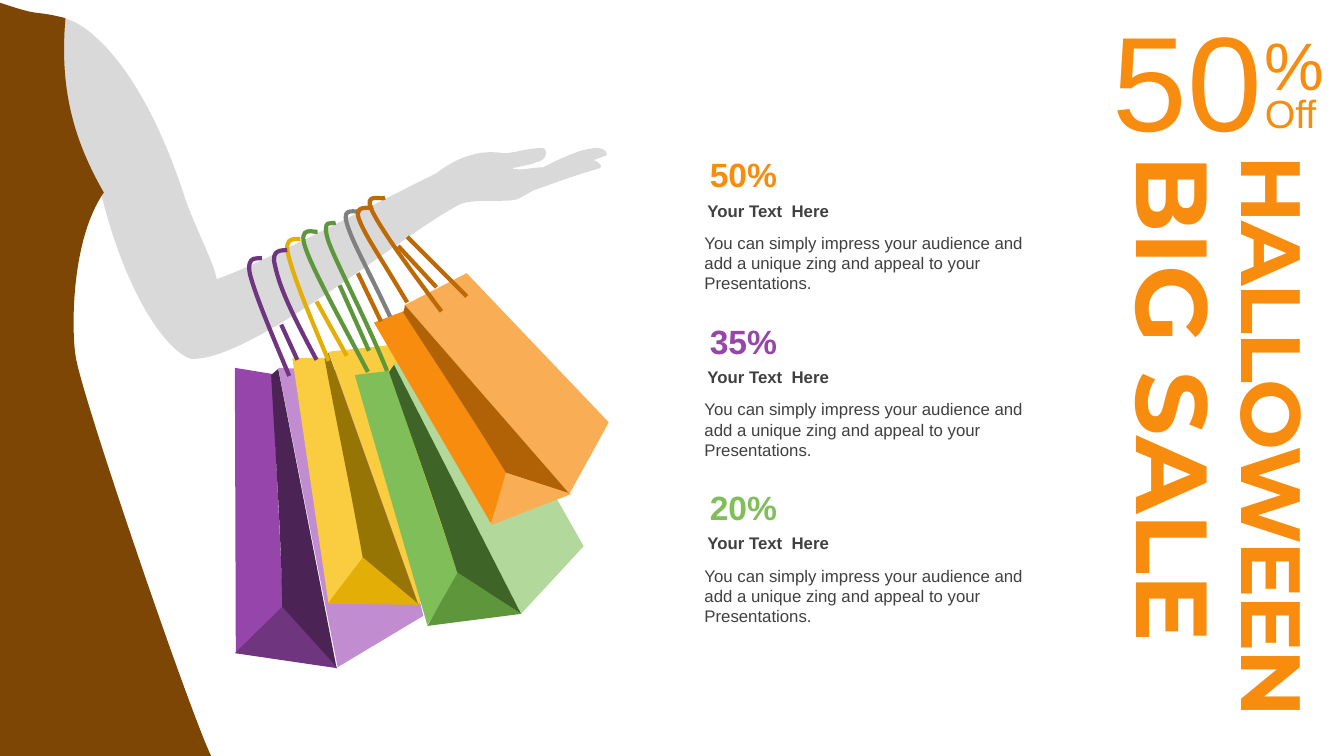
import dataclasses
import math
import typing

import lxml.etree
import pptx
import pptx.dml.color
import pptx.enum.shapes
import pptx.enum.text
import pptx.oxml.ns
import pptx.util

SCALE = 9144
CURVE_STEPS = 40
HIGH = 750
WIDE = HIGH * 16 / 9
ALIGN = pptx.enum.text.PP_ALIGN
Point = tuple[float, float]


@dataclasses.dataclass(frozen=True)
class Theme:
    skin: str = "D9D9D9"
    dress: str = "7E4604"
    ink: str = "404040"
    gray: str = "808080"
    rust: str = "BD6906"
    orange: str = "F78C0E"
    peach: str = "F9AE56"
    umber: str = "B16206"
    purple: str = "9646AA"
    lilac: str = "C28CD0"
    plum: str = "4B2355"
    grape: str = "70357F"
    yellow: str = "F9CD3F"
    olive: str = "977505"
    gold: str = "E3AF07"
    green: str = "80BE5A"
    mint: str = "B3D89C"
    forest: str = "3F6428"
    leaf: str = "5E973B"
    sans: str = "Arial"
    display: str = "Montserrat"
    giant: int = 96
    banner: int = 72
    title: int = 60
    sign: int = 48
    off: int = 28
    rate: int = 24
    body: int = 12
    stroke: int = 3


THEME = Theme()


class Form(typing.NamedTuple):
    hue: str
    start: tuple[int, int]
    steps: list[tuple[int, ...]]
    turn: float = 0


class Strap(typing.NamedTuple):
    hue: str
    ends: tuple[int, int, int, int]


class Label(typing.NamedTuple):
    text: str
    place: tuple[int, int, int, int]
    size: int
    hue: str
    bold: bool = False
    face: str = THEME.sans
    align: ALIGN = ALIGN.LEFT
    middle: bool = True
    turn: int = 0
    track: int = 0


ARM = Form(THEME.skin, (539, 147), [
    (545, 150, 541, 160, 532, 161), (526, 164, 516, 165, 508, 167),
    (515, 170, 528, 166, 539, 166), (552, 159, 562, 155, 575, 150),
    (589, 146, 602, 145, 602, 154), (589, 159), (594, 160, 599, 166, 595, 167),
    (570, 174, 552, 181, 529, 189), (525, 191, 516, 197, 512, 198),
    (500, 201, 476, 197, 458, 202), (404, 228, 249, 360, 189, 356),
    (166, 348, 126, 296, 100, 191), (79, 161, 38, 98, 61, 18),
    (83, 19, 141, 63, 184, 198), (196, 231, 212, 260, 215, 277),
    (264, 260, 385, 195, 433, 172), (462, 149, 487, 150, 499, 152),
    (507, 153, 526, 146, 539, 147)])
DRESS = Form(THEME.dress, (65, 18), [
    (59, 86, 72, 137, 103, 191), (70, 239, 71, 328, 75, 353),
    (80, 391, 194, 723, 211, 753), (159, 757, 69, 754, -1, 753),
    (-1, 573, -3, 182, -2, 2), (45, 18, 29, 9, 65, 18)])
PANELS = [
    Form(THEME.lilac, (361, 368), [(276, 365), (335, 662), (420, 611)], 30),
    Form(THEME.purple, (270, 371), [(233, 365), (234, 648), (281, 603)], 30),
    Form(THEME.plum, (334, 663), [(280, 603), (279, 529, 273, 446, 269, 372), (276, 366)], 30),
    Form(THEME.grape, (335, 663), [(233, 648), (280, 602)], 30),
    Form(THEME.yellow, (400, 341), [(326, 349), (415, 599), (482, 545)], 21.7),
    Form(THEME.yellow, (322, 355), [(290, 355), (326, 599), (361, 555)], 21.7),
    Form(THEME.olive, (415, 600), [(360, 554), (349, 491, 334, 420, 322, 356), (326, 350)], 21.7),
    Form(THEME.gold, (416, 600), [(325, 599), (360, 553)], 21.7),
    Form(THEME.mint, (466, 342), [(390, 361), (517, 609), (579, 542)], 14.1),
    Form(THEME.green, (386, 368), [(352, 372), (424, 620), (455, 571)], 14.1),
    Form(THEME.forest, (517, 609), [(454, 569), (434, 505, 408, 433, 386, 369), (391, 362)], 14.1),
    Form(THEME.leaf, (517, 609), [(424, 621), (454, 568)], 14.1),
    Form(THEME.peach, (463, 271), [(401, 303), (565, 490), (604, 419)]),
    Form(THEME.orange, (400, 309), [(371, 320), (487, 519), (504, 470)]),
    Form(THEME.umber, (565, 490), [(502, 469), (471, 418, 433, 361, 400, 310), (402, 303)]),
    Form(THEME.peach, (567, 490), [(487, 521), (502, 469)]),
]
HOOKS = [
    Form(THEME.rust, (438, 309), [(399, 257, 378, 227, 369, 209), (360, 190, 379, 199, 382, 196)]),
    Form(THEME.gray, (387, 314), [(362, 261, 349, 239, 344, 221), (339, 204, 354, 212, 357, 209)]),
    Form(THEME.leaf, (384, 368), [(362, 314, 335, 264, 326, 240), (318, 215, 330, 223, 333, 221)], 7.1),
    Form(THEME.grape, (287, 373), [(263, 316, 253, 291, 248, 272), (244, 252, 257, 257, 260, 256)], 25.8),
    Form(THEME.gold, (326, 358), [(302, 301, 291, 273, 286, 253), (281, 233, 295, 238, 298, 237)], 25.8),
    Form(THEME.leaf, (365, 369), [(335, 312, 311, 269, 303, 246), (295, 223, 312, 231, 315, 230)], 25.8),
    Form(THEME.grape, (314, 357), [(284, 301, 277, 282, 273, 264), (268, 246, 281, 249, 285, 248)], 25.8),
    Form(THEME.rust, (404, 300), [(373, 248, 362, 233, 356, 217), (351, 202, 367, 208, 370, 205)]),
]
STRAPS = [
    Strap(THEME.rust, (404, 235, 463, 294)),
    Strap(THEME.rust, (395, 244, 433, 285)),
    Strap(THEME.leaf, (337, 283, 366, 348)),
    Strap(THEME.grape, (279, 322, 295, 357)),
    Strap(THEME.gold, (314, 299, 344, 353)),
    Strap(THEME.rust, (355, 271, 378, 319)),
]
TITLE = Label("HALLOWEEN", (970, 384, 590, 111), THEME.title, THEME.orange, True,
              THEME.display, ALIGN.JUSTIFY, turn=90, track=-150)
BANNER = Label("BIG SALE", (872, 374, 590, 131), THEME.banner, THEME.orange, True,
               THEME.display, ALIGN.JUSTIFY, turn=90)
BADGE = [
    Label("50", (1087, -9, 182, 172), THEME.giant, THEME.orange, align=ALIGN.CENTER),
    Label("%", (1245, 18, 75, 91), THEME.sign, THEME.orange),
    Label("Off", (1245, 83, 75, 57), THEME.off, THEME.orange),
]
OFFERS = [("50%", THEME.orange), ("35%", THEME.purple), ("20%", THEME.green)]
OFFER_TOP, OFFER_PITCH = 148, 165
HEADING = "Your Text  Here"
DETAIL = "You can simply impress your audience and add a unique zing and appeal to your Presentations."


def emu(px: float) -> pptx.util.Emu:
    return pptx.util.Emu(round(px * SCALE))


def tint(hue: str) -> pptx.dml.color.RGBColor:
    return pptx.dml.color.RGBColor.from_string(hue)


def spin(dot: Point, angle: float) -> Point:
    c, s = math.cos(math.radians(angle)), math.sin(math.radians(angle))
    return dot[0] * c - dot[1] * s, dot[0] * s + dot[1] * c


def bend(dots: list[Point], t: float) -> Point:
    while len(dots) > 1:
        dots = [(a + (c - a) * t, b + (d - b) * t) for (a, b), (c, d) in zip(dots, dots[1:])]
    return dots[0]


def draw_form(shapes: typing.Any, form: Form, solid: bool = True) -> None:
    legs = [[spin(dot, -form.turn) for dot in zip(leg[::2], leg[1::2])]
            for leg in [form.start, *form.steps]]
    edge = [bend([a[-1], *b], i / CURVE_STEPS)
            for a, b in zip(legs, legs[1:]) for i in range(CURVE_STEPS + 1)]
    (left, right), (top, base) = ((min(side), max(side)) for side in zip(*edge))
    mid = (left + right) / 2, (top + base) / 2
    hub = spin(mid, form.turn)
    x, y = left + hub[0] - mid[0], top + hub[1] - mid[1]
    wide, high = right - left, base - top
    maker = shapes.build_freeform(emu(x), emu(y), scale=1.0)
    maker.add_line_segments([(emu(x + wide), emu(y)), (emu(x + wide), emu(y + high))], close=solid)
    shape = maker.convert_to_shape()
    qn = pptx.oxml.ns.qn
    route = shape._element.find(".//" + qn("a:path"))
    for child in list(route):
        route.remove(child)
    for i, leg in enumerate(legs):
        kind = "a:moveTo" if i == 0 else "a:lnTo" if len(leg) == 1 else "a:cubicBezTo"
        move = lxml.etree.SubElement(route, qn(kind))
        for dot in leg:
            lxml.etree.SubElement(move, qn("a:pt"), x=str(int(emu(dot[0] - left))),
                                  y=str(int(emu(dot[1] - top))))
    if solid:
        lxml.etree.SubElement(route, qn("a:close"))
    shape.rotation = form.turn
    shape.shadow.inherit = False
    if solid:
        shape.fill.solid()
        shape.fill.fore_color.rgb = tint(form.hue)
        shape.line.fill.background()
    else:
        shape.fill.background()
        shape.line.color.rgb = tint(form.hue)
        shape.line.width = pptx.util.Pt(THEME.stroke)


def draw_strap(shapes: typing.Any, strap: Strap) -> None:
    line = shapes.add_connector(pptx.enum.shapes.MSO_CONNECTOR.STRAIGHT, *map(emu, strap.ends))
    line.line.color.rgb = tint(strap.hue)
    line.line.width = pptx.util.Pt(THEME.stroke)
    lxml.etree.SubElement(line._element.spPr, pptx.oxml.ns.qn("a:effectLst"))


def write(box: typing.Any, label: Label) -> None:
    box.left, box.top, box.width, box.height = map(emu, label.place)
    box.rotation = label.turn
    frame = box.text_frame
    frame.word_wrap = True
    frame.auto_size = pptx.enum.text.MSO_AUTO_SIZE.SHAPE_TO_FIT_TEXT
    anchor = pptx.enum.text.MSO_ANCHOR
    frame.vertical_anchor = anchor.MIDDLE if label.middle else anchor.TOP
    line = frame.paragraphs[0]
    line.alignment = label.align
    run = line.add_run()
    run.text = label.text
    run.font.name = label.face
    run.font.size = pptx.util.Pt(label.size)
    run.font.bold = label.bold
    run.font.color.rgb = tint(label.hue)
    if label.track:
        run._r.get_or_add_rPr().set("spc", str(label.track))


def add_label(shapes: typing.Any, label: Label) -> None:
    write(shapes.add_textbox(*map(emu, label.place)), label)


def draw_scene(shapes: typing.Any) -> None:
    for form in [ARM, *PANELS]:
        draw_form(shapes, form)
    for hook in HOOKS:
        draw_form(shapes, hook, solid=False)
    draw_form(shapes, DRESS)
    for strap in STRAPS:
        draw_strap(shapes, strap)


def add_offer(shapes: typing.Any, rate: str, hue: str, top: int) -> None:
    add_label(shapes, Label(rate, (689, top, 97, 50), THEME.rate, hue, True, align=ALIGN.CENTER))
    group = shapes.add_group_shape().shapes
    add_label(group, Label(DETAIL, (689, top + 78, 358, 71), THEME.body, THEME.ink, middle=False))
    add_label(group, Label(HEADING, (692, top + 46, 358, 30), THEME.body, THEME.ink, True,
                           middle=False))


def main() -> None:
    deck = pptx.Presentation()
    deck.slide_width, deck.slide_height = emu(WIDE), emu(HIGH)
    shapes = deck.slides.add_slide(deck.slide_layouts[5]).shapes
    write(shapes.title, TITLE)
    draw_scene(shapes.add_group_shape().shapes)
    add_label(shapes, BANNER)
    badge = shapes.add_group_shape().shapes
    for label in BADGE:
        add_label(badge, label)
    for row, (rate, hue) in enumerate(OFFERS):
        add_offer(shapes, rate, hue, OFFER_TOP + row * OFFER_PITCH)
    deck.save("out.pptx")


if __name__ == "__main__":
    main()
